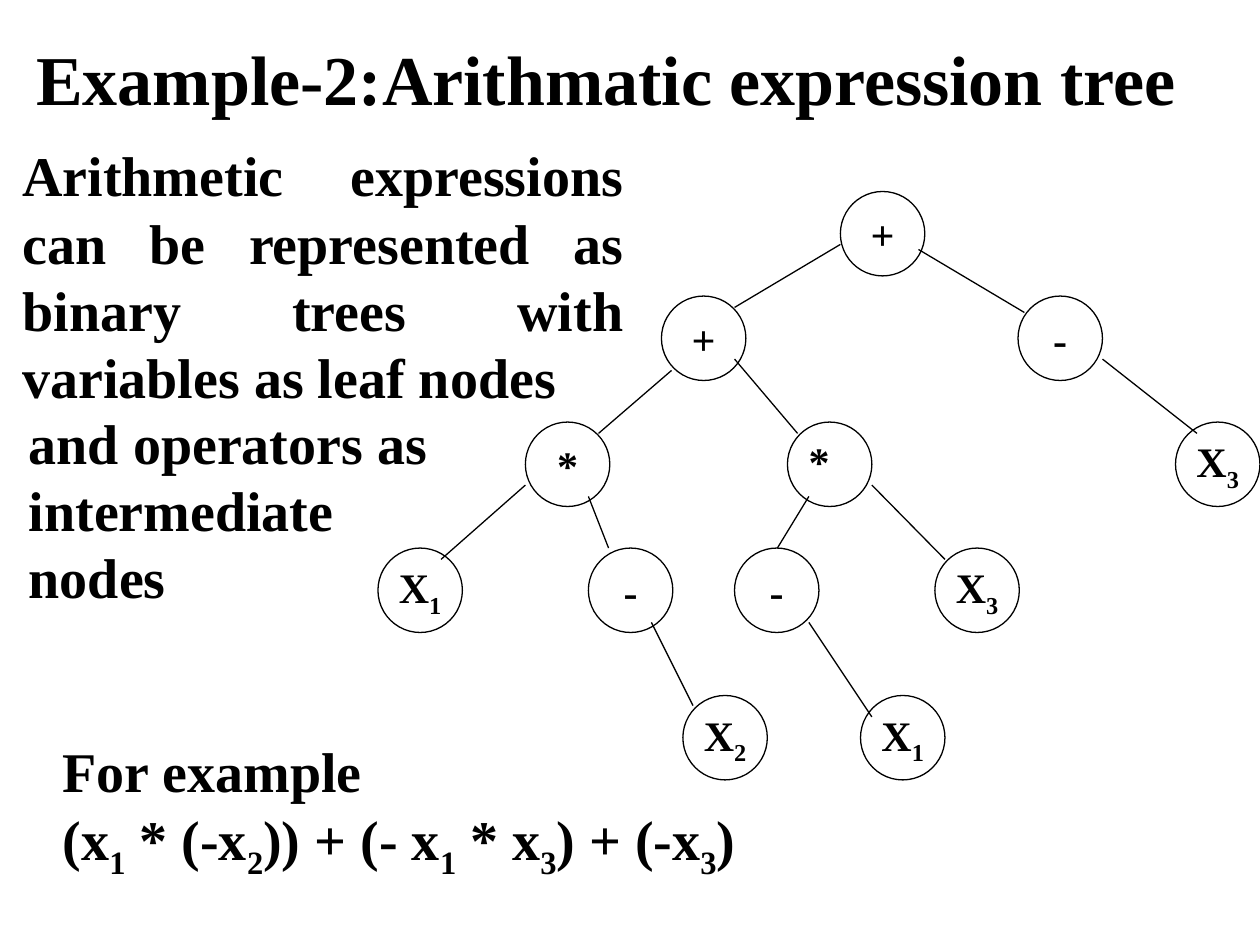
"""Build a slide that explains an arithmetic expression tree."""
from lxml.etree import SubElement
from pptx import Presentation
from pptx.dml.color import RGBColor
from pptx.enum.shapes import MSO_CONNECTOR, MSO_SHAPE
from pptx.enum.text import MSO_ANCHOR, MSO_AUTO_SIZE, PP_ALIGN
from pptx.oxml.ns import qn
from pptx.util import Inches, Pt

COLORS = {"ink": "000000", "paper": "FFFFFF"}
INK = RGBColor.from_string(COLORS["ink"])
FONT = "Times New Roman"
NODE_SIZE = 0.67


def write(para, text, size, align=PP_ALIGN.LEFT):
    """Write bold text in which an underscore lowers the next character."""
    para.alignment = align
    first, *rest = text.split("_")
    pieces = [(first, False)]
    for part in rest:
        pieces += [(part[0], True), (part[1:], False)]
    for piece, lowered in pieces:
        if piece:
            span = para.add_run()
            span.text = piece
            span.font.name = FONT
            span.font.size = Pt(size)
            span.font.bold = True
            span.font.color.rgb = INK
            if lowered:
                span.font._element.set("baseline", "-25000")


def add_text(page, place, lines, size, align=PP_ALIGN.LEFT, wrap=True):
    """Add a text box with one paragraph for each line."""
    frame = page.shapes.add_textbox(*map(Inches, place)).text_frame
    frame.word_wrap = wrap
    for index, line in enumerate(lines):
        para = frame.add_paragraph() if index else frame.paragraphs[0]
        write(para, line, size, align)


deck = Presentation()
deck.slide_width = Inches(10)
deck.slide_height = Inches(7.5)
page = deck.slides.add_slide(deck.slide_layouts[5])
page.background.fill.solid()
page.background.fill.fore_color.rgb = RGBColor.from_string(COLORS["paper"])

title = page.shapes.title
title.left, title.top = Inches(0.12), Inches(0.23)
title.width, title.height = Inches(9.38), Inches(0.77)
title.text_frame.auto_size = MSO_AUTO_SIZE.NONE
title.text_frame.vertical_anchor = MSO_ANCHOR.TOP
write(title.text_frame.paragraphs[0], "Example-2:Arithmatic expression tree", 40, PP_ALIGN.CENTER)

nodes = [
    (6.67, 1.52, "+"),
    (5.25, 2.35, "+"), (8.08, 2.35, "-"),
    (4.17, 3.35, "*"), (6.25, 3.35, ""), (9.33, 3.35, "X_3"),
    (3, 4.35, "X_1"), (4.67, 4.35, "-"), (5.83, 4.35, "-"), (7.42, 4.35, "X_3"),
    (5.42, 5.52, "X_2"), (6.83, 5.52, "X_1"),
]
for left, top, label in nodes:
    node = page.shapes.add_shape(
        MSO_SHAPE.OVAL, Inches(left), Inches(top), Inches(NODE_SIZE), Inches(NODE_SIZE))
    node.shadow.inherit = False
    node.fill.background()
    node.line.color.rgb = INK
    node.line.width = Pt(0.75)
    node.text_frame.word_wrap = False
    node.text_frame.vertical_anchor = MSO_ANCHOR.MIDDLE
    write(node.text_frame.paragraphs[0], label, 24, PP_ALIGN.CENTER)

branches = [
    (6.67, 1.94, 5.83, 2.44), (7.29, 1.98, 8.13, 2.48),
    (5.33, 2.94, 4.75, 3.44), (5.83, 2.85, 6.33, 3.44), (8.75, 2.85, 9.5, 3.44),
    (4.17, 3.85, 3.5, 4.44), (4.67, 3.94, 4.83, 4.35),
    (6.42, 3.94, 6.17, 4.35), (6.92, 3.85, 7.5, 4.44),
    (5.17, 4.94, 5.5, 5.6), (6.42, 4.94, 6.92, 5.69),
]
for ends in branches:
    branch = page.shapes.add_connector(MSO_CONNECTOR.STRAIGHT, *map(Inches, ends))
    branch.line.color.rgb = INK
    branch.line.width = Pt(0.75)
    SubElement(branch._element.spPr, qn("a:effectLst"))

add_text(page, (6.32, 3.41, 0.36, 0.5), ["*"], 24, wrap=False)
add_text(page, (0.08, 1.07, 4.97, 2.24),
         ["Arithmetic expressions can be represented as binary trees with variables as leaf nodes"],
         32, PP_ALIGN.JUSTIFY)
add_text(page, (0.13, 3.19, 3.53, 1.7), ["and operators as intermediate nodes"], 32)
add_text(page, (0.4, 5.8, 5.54, 1.24),
         ["For example", "(x_1 * (-x_2)) + (- x_1 * x_3) + (-x_3)"], 32, wrap=False)

deck.save("out.pptx")
